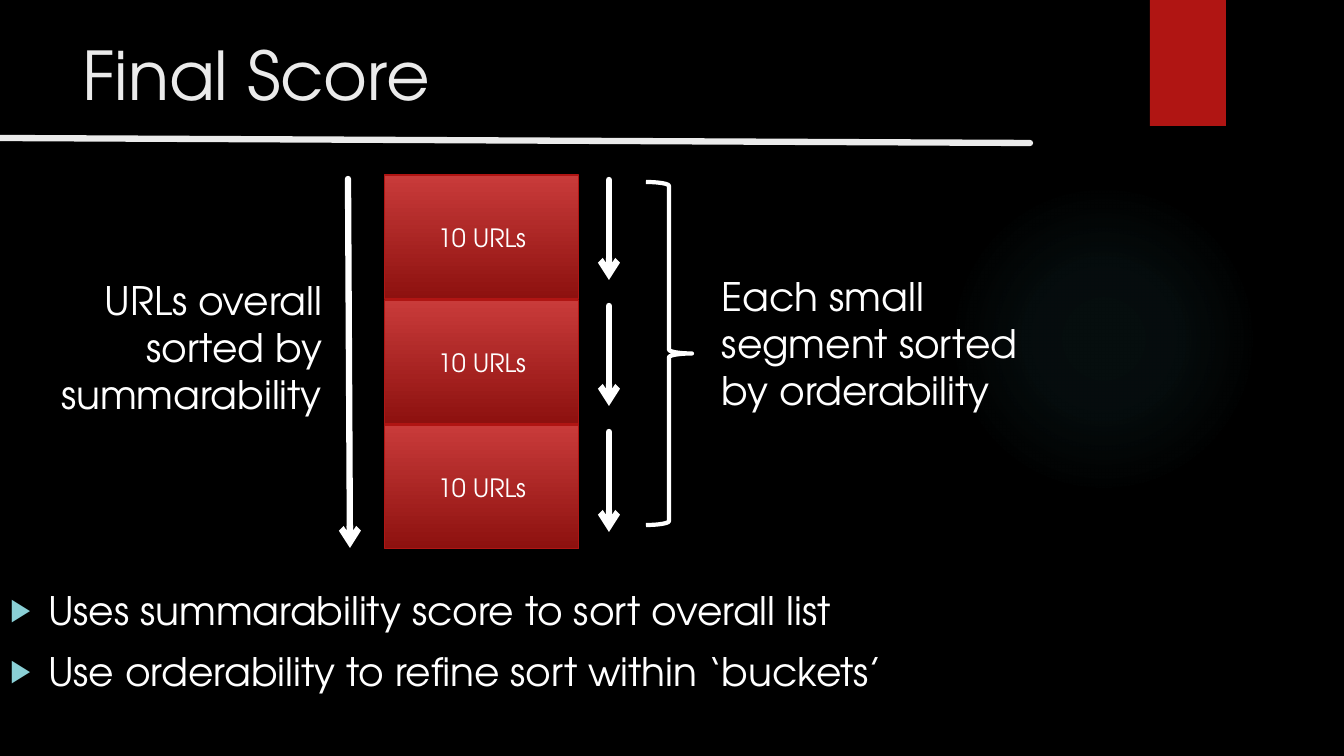
"""Builds the Final Score slide."""
from lxml.etree import SubElement
from pptx import Presentation
from pptx.dml.color import RGBColor
from pptx.enum.shapes import MSO_CONNECTOR as LINK, MSO_SHAPE as SHAPE
from pptx.enum.text import MSO_ANCHOR as ANCHOR, MSO_AUTO_SIZE as FIT, PP_ALIGN as ALIGN
from pptx.oxml import parse_xml
from pptx.oxml.ns import nsdecls, qn
from pptx.util import Pt

SCALE = 914400 / 100.8
FONT = "TeX Gyre Adventor"
BLACK = RGBColor(0x00, 0x00, 0x00)
WHITE = RGBColor(0xFF, 0xFF, 0xFF)
PALE = RGBColor(0xEB, 0xEB, 0xEB)
RED = RGBColor(0xB0, 0x15, 0x13)
RED_TOP = RGBColor(0xC9, 0x3B, 0x3A)
RED_BOTTOM = RGBColor(0x8D, 0x11, 0x0F)
AQUA = RGBColor(0x8A, 0xD0, 0xD6)
TEAL = RGBColor(0x50, 0xB9, 0xC1)

TITLE = ("Final Score", (72, 28, 1037, 154))
POINTS = (["Uses summarability score to sort overall list",
           "Use orderability to refine sort within ‘buckets’"], (0, 581, 1344, 175))
CAPTIONS = [
    ("URLs overall sorted by summarability", (-14, 271, 346, 175), ALIGN.RIGHT),
    ("Each small segment sorted by orderability", (712, 267, 346, 175), ALIGN.LEFT),
]
BUCKETS = ["10 URLs", "10 URLs", "10 URLs"]
BUCKET_BOX = (385, 175, 194, 124)
BUCKET_STEP = 125
BUCKET_ARROW = (609, 180, 609, 280)
ARROW_STEP = 126
OVERALL_ARROW = (348, 179, 350, 548)
TITLE_RULE = (0, 138, 1030, 143)
BRACE = (646, 182, 46, 343)
TAB = (1150, 0, 76, 126)
GLOW = (949, 184, 310, 310)
GLOW_STOPS = [(0, 7), (36, 6), (69, 0)]


def px(*lengths):
    return [round(length * SCALE) for length in lengths]


def write(holder, text, size=28, color=WHITE, align=ALIGN.LEFT, anchor=ANCHOR.TOP,
          before=0, bullet=None):
    frame = holder.text_frame
    frame.word_wrap, frame.auto_size, frame.vertical_anchor = True, FIT.NONE, anchor
    frame.text = text
    for paragraph in frame.paragraphs:
        paragraph.alignment, paragraph.space_before = align, Pt(before)
        font = paragraph.runs[0].font
        font.name, font.size, font.color.rgb = FONT, Pt(size), color
        if bullet:
            props = paragraph._p.get_or_add_pPr()
            indent, = px(38)
            props.set("marL", str(indent))
            props.set("indent", str(-indent))
            SubElement(SubElement(props, qn("a:buClr")), qn("a:srgbClr")).set("val", str(AQUA))
            SubElement(props, qn("a:buSzPct")).set("val", "80000")
            SubElement(props, qn("a:buFont")).set("typeface", "Arial")
            SubElement(props, qn("a:buChar")).set("char", bullet)


def place(holder, box):
    holder.left, holder.top, holder.width, holder.height = px(*box)
    return holder


def draw(shapes, kind, box, fill=None):
    part = shapes.add_shape(kind, *px(*box))
    part.shadow.inherit = False
    part.line.fill.background()
    if fill is None:
        part.fill.background()
    else:
        part.fill.solid()
        part.fill.fore_color.rgb = fill
    return part


def stroke(shapes, ends, color=WHITE, arrow=True):
    link = shapes.add_connector(LINK.STRAIGHT, *px(*ends))
    link.line.color.rgb, link.line.width = color, Pt(4.5)
    outline = link.line._get_or_add_ln()
    outline.set("cap", "rnd")
    if arrow:
        SubElement(outline, qn("a:tailEnd")).set("type", "arrow")
    SubElement(link._element.spPr, qn("a:effectLst"))


def add_glow(shapes):
    glow = draw(shapes, SHAPE.OVAL, GLOW, TEAL)
    stops = "".join(
        f'<a:gs pos="{at * 1000}"><a:srgbClr val="{TEAL}">'
        f'<a:alpha val="{alpha * 1000}"/></a:srgbClr></a:gs>' for at, alpha in GLOW_STOPS)
    gradient = parse_xml(
        f'<a:gradFill {nsdecls("a")}><a:gsLst>{stops}</a:gsLst><a:path path="circle">'
        '<a:fillToRect l="50000" t="50000" r="50000" b="50000"/></a:path></a:gradFill>')
    props = glow._element.spPr
    props.replace(props.find(qn("a:solidFill")), gradient)


def add_bucket(shapes, label, row):
    left, top, width, height = BUCKET_BOX
    bucket = draw(shapes, SHAPE.RECTANGLE, (left, top + row * BUCKET_STEP, width, height))
    bucket.fill.gradient()
    bucket.fill.gradient_angle = 270
    for stop, at, color in zip(bucket.fill.gradient_stops, (0, 1), (RED_TOP, RED_BOTTOM)):
        stop.position, stop.color.rgb = at, color
    bucket.line.color.rgb, bucket.line.width = RED, Pt(0.75)
    write(bucket, label, size=18, align=ALIGN.CENTER, anchor=ANCHOR.MIDDLE)
    x1, y1, x2, y2 = BUCKET_ARROW
    shift = row * ARROW_STEP
    stroke(shapes, (x1, y1 + shift, x2, y2 + shift))


def main():
    deck = Presentation()
    deck.slide_width, deck.slide_height = px(1344, 756)
    slide = deck.slides.add_slide(deck.slide_layouts[1])
    shapes = slide.shapes
    slide.background.fill.solid()
    slide.background.fill.fore_color.rgb = BLACK

    add_glow(shapes)
    draw(shapes, SHAPE.RECTANGLE, TAB, RED)
    heading, heading_box = TITLE
    write(place(shapes.title, heading_box), heading, size=48, color=PALE)
    stroke(shapes, TITLE_RULE, color=PALE, arrow=False)
    points, points_box = POINTS
    write(place(slide.placeholders[1], points_box), "\n".join(points), before=10, bullet="▶")

    for row, label in enumerate(BUCKETS):
        add_bucket(shapes, label, row)
    stroke(shapes, OVERALL_ARROW)
    for caption, box, align in CAPTIONS:
        write(shapes.add_textbox(*px(*box)), caption, align=align, before=10)
    brace = draw(shapes, SHAPE.RIGHT_BRACE, BRACE)
    brace.line.color.rgb, brace.line.width = WHITE, Pt(3)
    deck.save("out.pptx")


if __name__ == "__main__":
    main()
